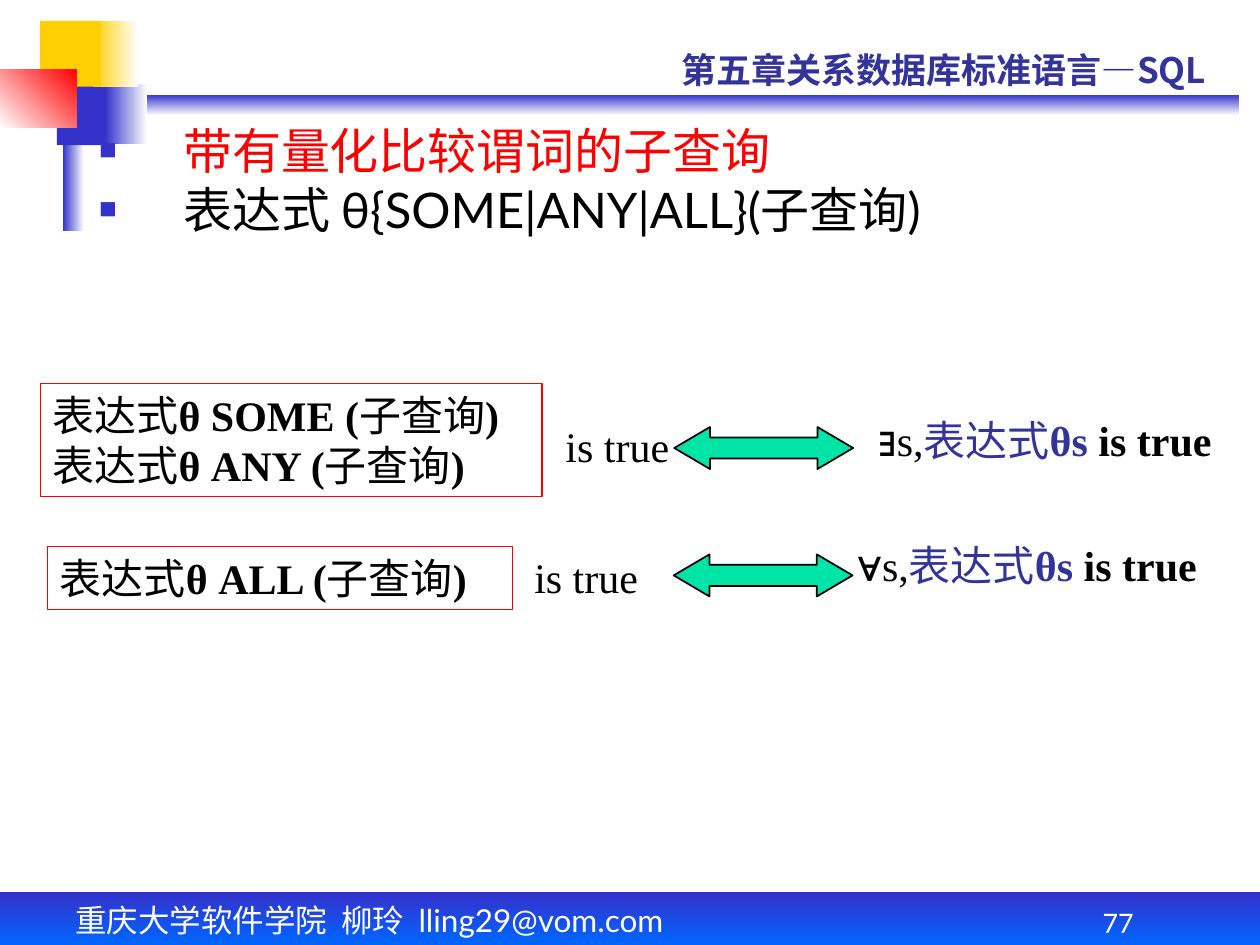
from typing import NamedTuple, Optional

from lxml import etree
from pptx import Presentation
from pptx import util as u
from pptx.dml.color import RGBColor
from pptx.enum import shapes, text
from pptx.oxml.ns import qn

LATO, TIMES, ARIAL, CJK = "Lato", "Times New Roman", "Arial", "Noto Sans CJK SC"
BLACK, WHITE, RED = "000000", "FFFFFF", "FF0000"
BLUE, NAVY, YELLOW, GREEN = "3333CC", "333399", "FFCF01", "00E4A8"


class Box(NamedTuple):
    left: float
    top: float
    width: float
    height: float


class Block(NamedTuple):
    box: Box
    start: str
    end: Optional[str] = None
    angle: float = 0  # counter-clockwise


class Rule(NamedTuple):
    forms: list[str]
    form_box: Box
    truth_box: Box
    arrow_box: Box
    quantifier: str
    meaning_box: Box


def rgb(value: str) -> RGBColor:
    return RGBColor.from_string(value)


def lengths(box: Box) -> list[u.Length]:
    return [u.Pt(value) for value in box]


def write(paragraph, words: str, *, size=24, font=TIMES, color=BLACK, bold=False):
    run = paragraph.add_run()
    run.text = words
    run.font.size = u.Pt(size)
    run.font.bold = bold
    run.font.color.rgb = rgb(color)
    run.font.name = font
    if font in (LATO, CJK):
        etree.SubElement(run._r.get_or_add_rPr(), qn("a:ea"), typeface=CJK)


def add_preset(slide, kind, box: Box):
    shape = slide.shapes.add_shape(kind, *lengths(box))
    shape.shadow.inherit = False
    return shape


def add_block(slide, block: Block):
    shape = add_preset(slide, shapes.MSO_SHAPE.RECTANGLE, block.box)
    shape.line.fill.background()
    if block.end is None:
        shape.fill.solid()
        shape.fill.fore_color.rgb = rgb(block.start)
        return
    shape.fill.gradient()
    shape.fill.gradient_angle = block.angle
    for stop, color in zip(shape.fill.gradient_stops, (block.start, block.end)):
        stop.color.rgb = rgb(color)


def add_text(slide, box: Box, wrap=False):
    frame = slide.shapes.add_textbox(*lengths(box)).text_frame
    frame.word_wrap = wrap
    frame.auto_size = text.MSO_AUTO_SIZE.SHAPE_TO_FIT_TEXT
    return frame


def place(slide, placeholder, box: Box):
    """Move a placeholder to its box, in front of the decoration."""
    placeholder.left, placeholder.top, placeholder.width, placeholder.height = lengths(box)
    slide.shapes._spTree.append(placeholder._element)
    frame = placeholder.text_frame
    frame.auto_size = text.MSO_AUTO_SIZE.NONE
    frame.vertical_anchor = text.MSO_ANCHOR.TOP
    return frame


def add_bullet(paragraph):
    props = paragraph._p.get_or_add_pPr()
    props.set("marL", str(u.Pt(48)))
    props.set("indent", str(-u.Pt(48)))
    color = etree.SubElement(props, qn("a:buClr"))
    etree.SubElement(color, qn("a:srgbClr"), val=BLUE)
    etree.SubElement(props, qn("a:buSzPct"), val="60000")
    etree.SubElement(props, qn("a:buFont"), typeface=ARIAL)
    etree.SubElement(props, qn("a:buChar"), char="■")


def add_forms(slide, forms: list[str], box: Box):
    frame_shape = add_preset(slide, shapes.MSO_SHAPE.RECTANGLE, box)
    frame_shape.fill.background()
    frame_shape.line.color.rgb = rgb(RED)
    frame_shape.line.width = u.Pt(0.75)
    frame = frame_shape.text_frame
    frame.word_wrap = False
    frame.auto_size = text.MSO_AUTO_SIZE.SHAPE_TO_FIT_TEXT
    frame.vertical_anchor = text.MSO_ANCHOR.TOP
    for index, quantifier in enumerate(forms):
        line = frame.add_paragraph() if index else frame.paragraphs[0]
        line.alignment = text.PP_ALIGN.LEFT
        write(line, "表达式", font=LATO)
        write(line, f"θ {quantifier} (", bold=True)
        write(line, "子查询", font=LATO)
        write(line, ")", bold=True)


def add_rule(slide, rule: Rule):
    add_forms(slide, rule.forms, rule.form_box)
    write(add_text(slide, rule.truth_box).paragraphs[0], "is true")

    arrow = add_preset(slide, shapes.MSO_SHAPE.LEFT_RIGHT_ARROW, rule.arrow_box)
    arrow.adjustments[0], arrow.adjustments[1] = 0.5, 0.85
    arrow.fill.solid()
    arrow.fill.fore_color.rgb = rgb(GREEN)
    arrow.line.color.rgb = rgb(BLACK)
    arrow.line.width = u.Pt(1)

    meaning = add_text(slide, rule.meaning_box).paragraphs[0]
    write(meaning, rule.quantifier, font=ARIAL)
    write(meaning, "s,")
    write(meaning, "表达式", font=LATO, color=NAVY)
    write(meaning, "θs ", color=NAVY, bold=True)
    write(meaning, "is true", bold=True)


DECORATION = [
    Block(Box(42, 54, 666, 12), BLUE, WHITE, 270),
    Block(Box(60, 48, 24, 34.5), BLUE, WHITE),
    Block(Box(0, 510, 720, 30), BLUE, "0066FF", 270),
    Block(Box(36, 42, 12, 90), BLUE, WHITE),
    Block(Box(32.5, 48.5, 27.5, 34.5), BLUE),
    Block(Box(53, 12, 26, 37.5), YELLOW, WHITE),
    Block(Box(23, 12, 34.5, 37.5), YELLOW),
    Block(Box(0, 39.5, 44, 33.5), WHITE, RED, 45),
]

RULES = [
    Rule(["SOME", "ANY"], Box(23, 219, 286.8, 64.8), Box(316, 237, 73.5, 36),
         Box(385.3, 244, 102.2, 24), "∃", Box(495.2, 233.2, 221, 36)),
    Rule(["ALL"], Box(27.2, 312.2, 265.6, 36), Box(298.2, 311.7, 73.5, 36),
         Box(385, 316.8, 102.2, 24), "∀", Box(482.7, 304.5, 222.5, 36)),
]

LIST_ITEMS = [
    ("带有量化比较谓词的子查询", RED),
    ("表达式 θ{SOME|ANY|ALL}(子查询)", BLACK),
]


def main():
    deck = Presentation()
    deck.slide_width, deck.slide_height = u.Pt(720), u.Pt(540)
    slide = deck.slides.add_slide(deck.slide_layouts[1])

    # Corner blocks and bars
    for block in DECORATION:
        add_block(slide, block)

    # Footer and page number
    footer = add_text(slide, Box(36, 511.2, 402, 29), wrap=True).paragraphs[0]
    write(footer, "重庆大学软件学院  柳玲  lling29@vom.com", size=18, font=LATO, color=WHITE)
    number_frame = add_text(slide, Box(582, 510, 114, 30), wrap=True)
    number_frame.auto_size = text.MSO_AUTO_SIZE.NONE
    number_frame.vertical_anchor = text.MSO_ANCHOR.BOTTOM
    number = number_frame.paragraphs[0]
    number.alignment = text.PP_ALIGN.CENTER
    write(number, "77", size=15.3, font=LATO, color=WHITE)

    # Chapter heading
    heading = place(slide, slide.shapes.title, Box(382, 24, 326, 36)).paragraphs[0]
    heading.alignment = text.PP_ALIGN.LEFT
    for words, font in (("第五章关系数据库标准语言", CJK), ("—", TIMES), ("SQL", CJK)):
        write(heading, words, size=20, font=font, color=NAVY, bold=True)

    # Bulleted list
    body = place(slide, slide.placeholders[1], Box(49.5, 71.5, 670.5, 108.5))
    for index, (words, color) in enumerate(LIST_ITEMS):
        item = body.add_paragraph() if index else body.paragraphs[0]
        add_bullet(item)
        item.line_spacing = 0.8
        item.space_before = u.Pt(7 if index else 0)
        write(item, words, size=28, font=LATO, color=color)

    # Meaning of each quantifier
    for rule in RULES:
        add_rule(slide, rule)

    deck.save("out.pptx")


if __name__ == "__main__":
    main()
